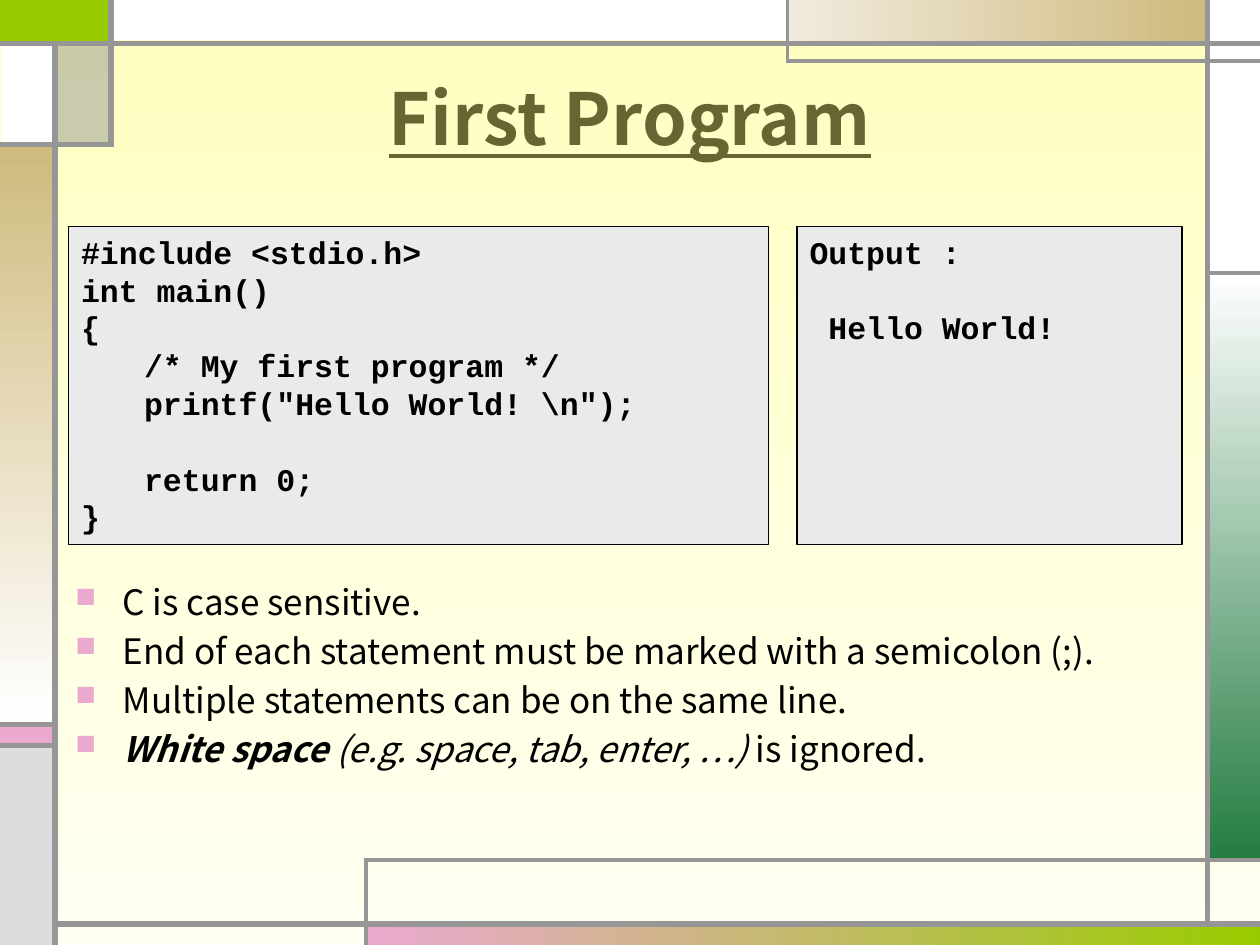
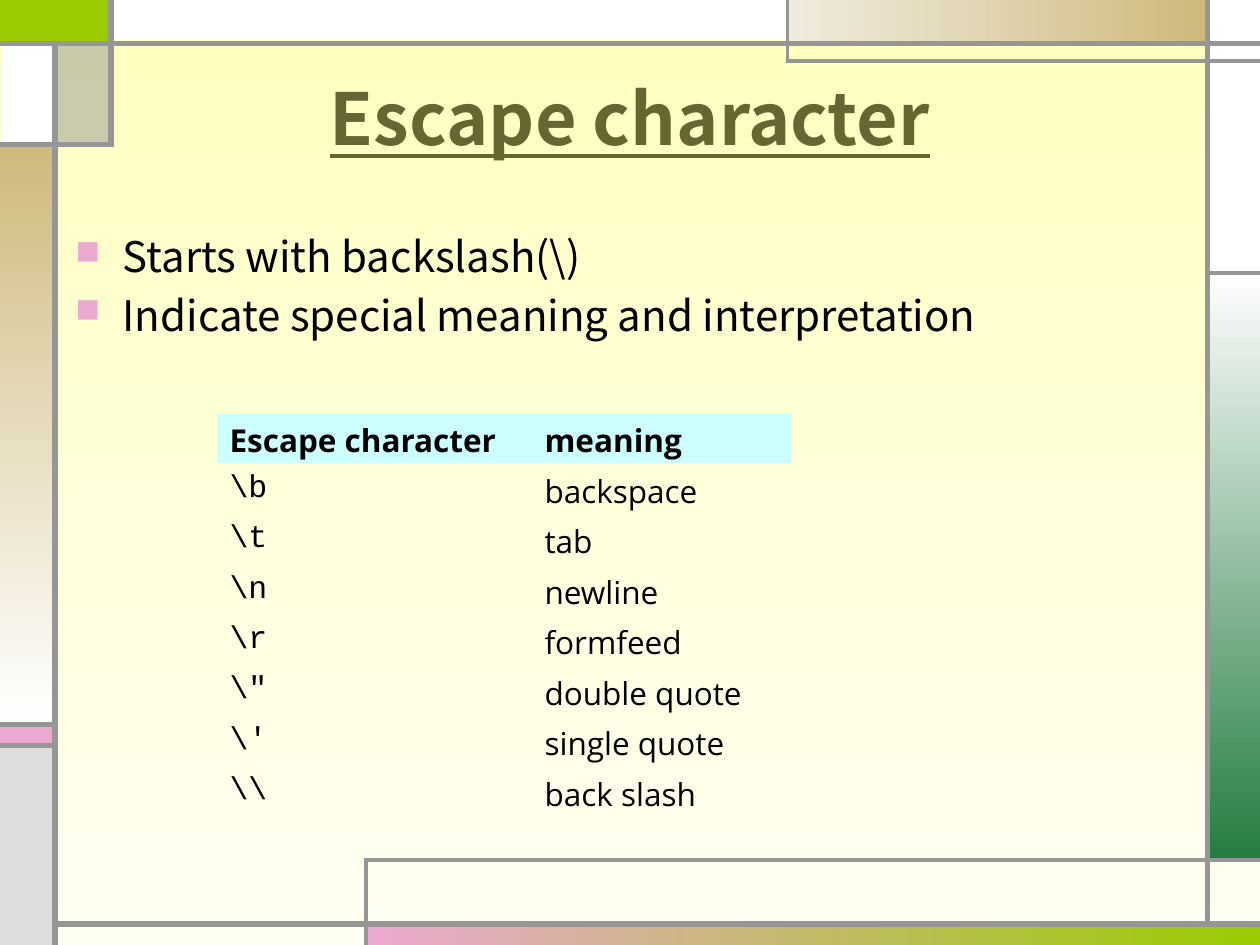
from lxml import etree
from pptx import Presentation
from pptx.dml.color import RGBColor
from pptx.enum.shapes import MSO_CONNECTOR, MSO_SHAPE
from pptx.enum.text import MSO_ANCHOR, PP_ALIGN
from pptx.oxml.ns import qn
from pptx.util import Pt

RECTANGLE = MSO_SHAPE.RECTANGLE
STRAIGHT = MSO_CONNECTOR.STRAIGHT
TOP, MIDDLE = MSO_ANCHOR.TOP, MSO_ANCHOR.MIDDLE
LEFT, CENTER, JUSTIFY = PP_ALIGN.LEFT, PP_ALIGN.CENTER, PP_ALIGN.JUSTIFY

COLORS = {
    "cream": "FFFFBF", "ivory": "FFFFF2", "lime": "99CC00", "pink": "EBA9D0",
    "green": "247C41", "silver": "DDDDDD", "white": "FFFFFF", "gray": "969696",
    "sand": "F0EBDE", "gold": "CFBA7D", "olive": "666633", "black": "000000",
    "code": "EAEAEA", "header": "CCFFFF",
}
BODY_FONT, CODE_FONT, TABLE_FONT = "Noto Sans CJK KR", "Courier New", "Open Sans"
NO_TABLE_STYLE = "{2D5ABB26-0587-4C30-8999-92F81FD0307C}"
ACROSS, DOWN = 0, 270  # gradient angles, counter-clockwise
CODE_PITCH = 21.6

# Bands: left, top, width, height, colours, gradient angle
BANDS = [
    (0, 0, 62.5, 24.5, ["lime"], None),
    (210, 528, 510, 12, ["pink", "lime"], ACROSS),
    (690, 156, 30, 336, ["white", "green"], DOWN),
    (0, 414, 30, 12, ["pink"], None),
    (0, 427, 30, 113, ["silver"], None),
    (690, 0, 30, 156, ["white"], None),
    (450, 0, 240, 24, ["sand", "gold"], ACROSS),
    (33, 24, 30, 59, ["gray"], None),
    (0, 83, 30, 330, ["gold", "white"], DOWN),
    (0.5, 24, 30, 59, ["white"], None),
    (62, 0, 388, 23, ["white"], None),
]
TRANSLUCENT_BAND = 7

# Grid lines: from x, from y, to x, to y, width
GRID_LINES = [
    (31.5, 540, 31.5, 24, 3), (31.5, 528, 720, 528, 3), (690, 528, 690, 0, 3),
    (0, 25, 720, 25, 3), (720, 34.75, 450, 34.75, 2.25), (450, 36, 450, 0, 2.25),
    (690, 156, 720, 156, 2.25), (63.5, 0, 63.5, 84, 3), (62, 82.5, 0, 82.5, 3),
    (209, 540, 209, 491, 2.25), (208, 491.5, 720, 491.5, 2.25),
    (33, 414, 0, 414, 3), (33, 426, 0, 426, 3),
]

SLIDES = [
    {
        "title": "First Program",
        "body": (36, 326, 648, 156), "size": 20,
        "bullets": [
            [("C is case sensitive.", "")],
            [("End of each statement must be marked with a semicolon (;).", "")],
            [("Multiple statements can be on the same line.", "")],
            [("White space ", "bi"), ("(e.g. space, tab, enter, …) ", "i"),
             ("is ignored.", "")],
        ],
        # Code boxes: left, width, lines, indexes of lines that follow a gap
        "code": [
            (39.25, 399.75, ["#include <stdio.h>", "int main()", "{",
                             "\t/* My first program */",
                             '\tprintf("Hello World! \\n");',
                             "\treturn 0;", "}"], [5]),
            (455.5, 220, ["Output :", " Hello World!"], [1]),
        ],
        "table": [],
    },
    {
        "title": "Escape character",
        "body": (36, 126, 661.75, 356), "size": 24,
        "bullets": [
            [("Starts with backslash(\\)", "")],
            [("Indicate special meaning and interpretation", "")],
        ],
        "code": [],
        "table": [
            ("Escape character", "meaning"), ("\\b", "backspace"), ("\\t", "tab"),
            ("\\n", "newline"), ("\\r", "formfeed"), ('\\"', "double quote"),
            ("\\'", "single quote"), ("\\\\", "back slash"),
        ],
    },
]


def paint(fill, names, angle=None):
    """Fill with one colour, or with a gradient between two."""
    if len(names) == 1:
        fill.solid()
        fill.fore_color.rgb = RGBColor.from_string(COLORS[names[0]])
        return
    fill.gradient()
    fill.gradient_angle = angle
    for stop, name in zip(fill.gradient_stops, names):
        stop.color.rgb = RGBColor.from_string(COLORS[name])


def add_run(paragraph, text, font, size, style="", color="black"):
    """Add a run; style holds b, i and u for bold, italic and underlined."""
    run = paragraph.add_run()
    run.text = text
    run.font.name = font
    run.font.size = Pt(size)
    run.font.bold = "b" in style
    run.font.italic = "i" in style
    run.font.underline = "u" in style
    run.font.color.rgb = RGBColor.from_string(COLORS[color])


presentation = Presentation()
presentation.slide_width, presentation.slide_height = Pt(720), Pt(540)

for content in SLIDES:
    slide = presentation.slides.add_slide(presentation.slide_layouts[6])
    paint(slide.background.fill, ["cream", "ivory"], DOWN)

    # Bands around the page
    for index, (left, top, width, height, names, angle) in enumerate(BANDS):
        band = slide.shapes.add_shape(RECTANGLE, Pt(left), Pt(top), Pt(width), Pt(height))
        band.shadow.inherit = False
        band.line.fill.background()
        paint(band.fill, names, angle)
        if index == TRANSLUCENT_BAND:
            color = next(band._element.spPr.iter(qn("a:srgbClr")))
            etree.SubElement(color, qn("a:alpha"), val="50000")

    # Grid lines
    for from_x, from_y, to_x, to_y, width in GRID_LINES:
        line = slide.shapes.add_connector(
            STRAIGHT, Pt(from_x), Pt(from_y), Pt(to_x), Pt(to_y))
        line.line.color.rgb = RGBColor.from_string(COLORS["gray"])
        line.line.width = Pt(width)
        etree.SubElement(line._element.spPr, qn("a:effectLst"))

    # Title
    title = slide.shapes.add_textbox(Pt(36), Pt(21.6), Pt(648), Pt(90))
    title.text_frame.word_wrap = True
    title.text_frame.vertical_anchor = MIDDLE
    paragraph = title.text_frame.paragraphs[0]
    paragraph.alignment = CENTER
    add_run(paragraph, content["title"], BODY_FONT, 41, "bu", "olive")

    # Bullets
    body = slide.shapes.add_textbox(*[Pt(length) for length in content["body"]])
    frame = body.text_frame
    frame.word_wrap = True
    size = content["size"]
    for index, runs in enumerate(content["bullets"]):
        paragraph = frame.add_paragraph() if index else frame.paragraphs[0]
        paragraph.line_spacing = Pt(1.3 * size)
        paragraph.space_after = Pt(0.1 * size)
        properties = paragraph._p.get_or_add_pPr()
        properties.set("marL", str(Pt(27)))
        properties.set("indent", str(-Pt(27)))
        bullet_color = etree.SubElement(properties, qn("a:buClr"))
        etree.SubElement(bullet_color, qn("a:srgbClr"), val=COLORS["pink"])
        etree.SubElement(properties, qn("a:buSzPct"), val="80000")
        etree.SubElement(properties, qn("a:buChar"), char="■")
        for text, style in runs:
            add_run(paragraph, text, BODY_FONT, size, style)

    # Code boxes
    for left, width, lines, gaps in content["code"]:
        box = slide.shapes.add_shape(RECTANGLE, Pt(left), Pt(129.5), Pt(width), Pt(181.5))
        box.shadow.inherit = False
        paint(box.fill, ["code"])
        box.line.color.rgb = RGBColor.from_string(COLORS["black"])
        box.line.width = Pt(0.75)
        frame = box.text_frame
        frame.word_wrap = True
        frame.vertical_anchor = TOP
        for index, text in enumerate(lines):
            paragraph = frame.add_paragraph() if index else frame.paragraphs[0]
            paragraph.alignment = LEFT
            paragraph.line_spacing = Pt(CODE_PITCH)
            if index in gaps:
                paragraph.space_before = Pt(CODE_PITCH)
            add_run(paragraph, text, CODE_FONT, 18, "b")

    # Table of escape characters
    rows = content["table"]
    if rows:
        graphic = slide.shapes.add_table(
            len(rows), 2, Pt(124), Pt(236), Pt(328), Pt(28.8 * len(rows)))
        table = graphic.table
        table.first_row = table.horz_banding = False
        next(graphic._element.iter(qn("a:tableStyleId"))).text = NO_TABLE_STYLE
        table.columns[0].width, table.columns[1].width = Pt(180), Pt(148)
        for row_index, row in enumerate(rows):
            for column_index, text in enumerate(row):
                cell = table.cell(row_index, column_index)
                cell.vertical_anchor = MIDDLE
                is_header = row_index == 0
                if is_header:
                    paint(cell.fill, ["header"])
                else:
                    cell.fill.background()
                is_code = column_index == 0 and not is_header
                paragraph = cell.text_frame.paragraphs[0]
                paragraph.alignment = JUSTIFY
                add_run(paragraph, text, CODE_FONT if is_code else TABLE_FONT, 18,
                        "b" if is_header else "")

presentation.save("out.pptx")
